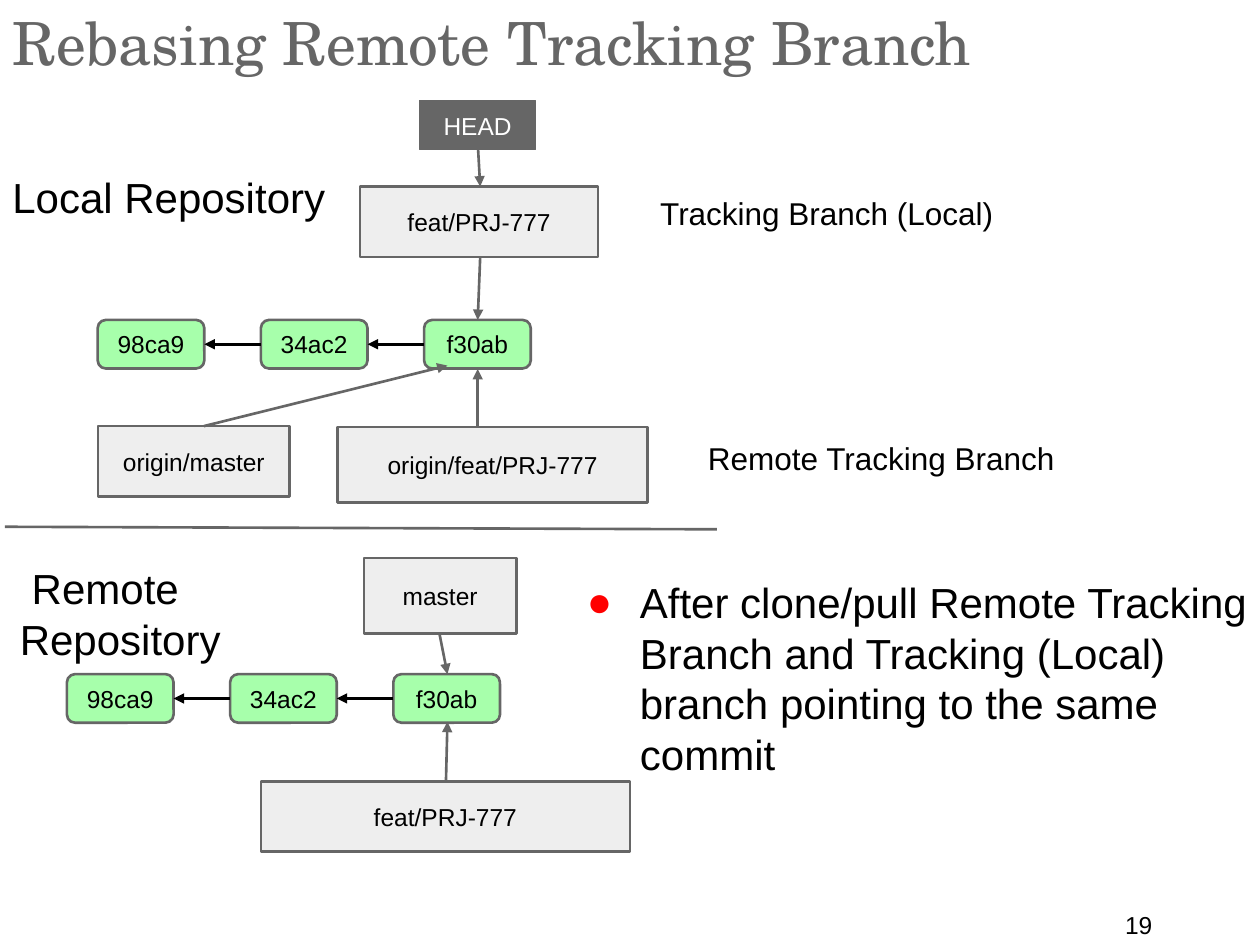
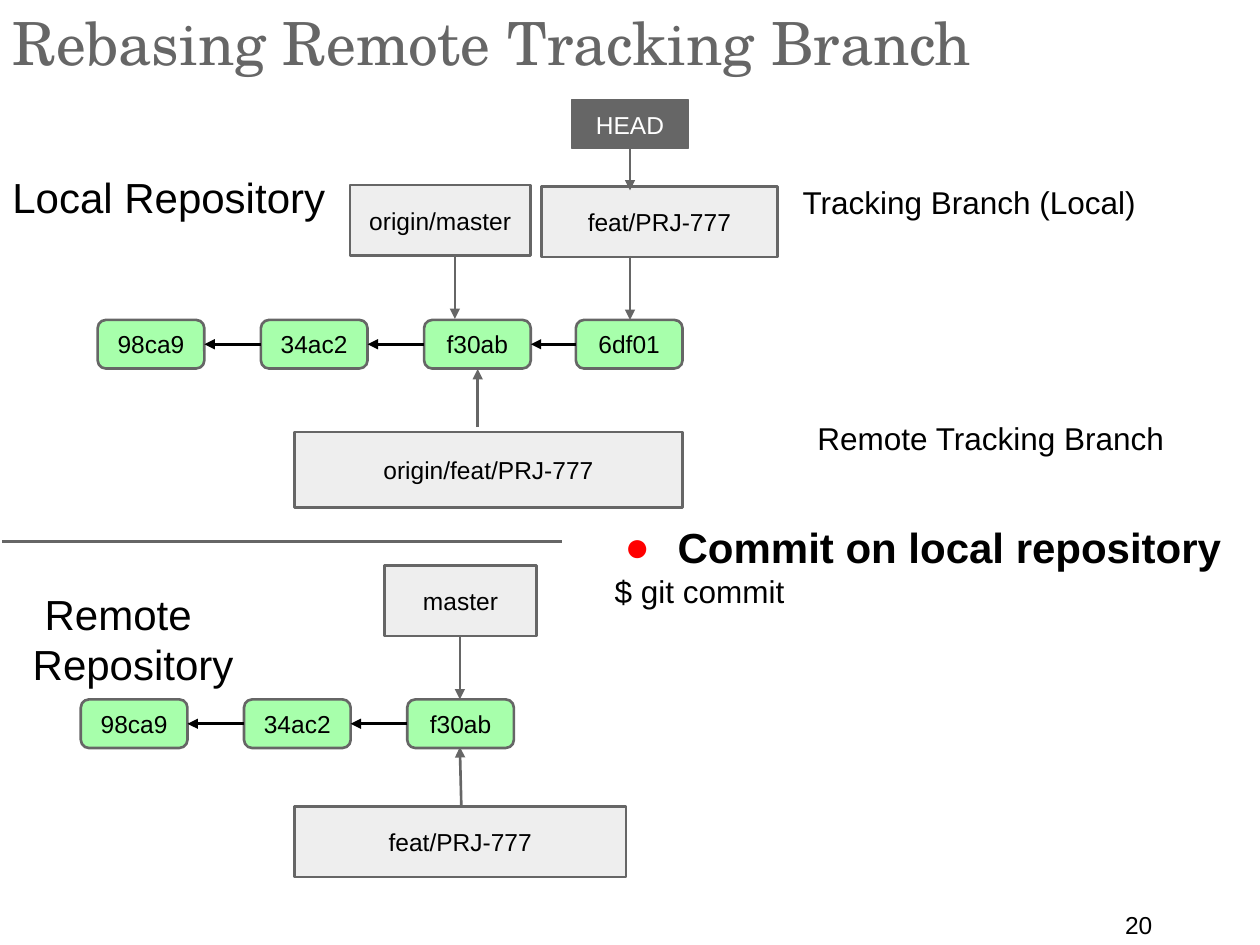
from lxml.etree import SubElement
from pptx import Presentation
from pptx.dml.color import RGBColor
from pptx.enum.shapes import MSO_CONNECTOR, MSO_SHAPE
from pptx.enum.text import MSO_ANCHOR, MSO_AUTO_SIZE, PP_ALIGN
from pptx.oxml.ns import qn
from pptx.util import Cm, Pt

COLORS = {"gray": "666666", "box": "EEEEEE", "commit": "A7FFAB",
          "black": "000000", "white": "FFFFFF", "bullet": "FF0000"}
TITLE = "Rebasing Remote Tracking Branch"
TITLE_FONT, BODY_FONT = "TeX Gyre Schola", "Arial"

# Commit nodes: size and distance from one to the next
NODE_W, NODE_H, NODE_STEP = 2.15, 0.98, 3.29
HEAD_W, HEAD_H = 2.34, 0.99

# Content; all lengths in centimetres
# rows: left, top, names, left of an extra commit; boxes: text, left, top, width, height
SLIDES = [
    {
        "number": "19",
        "rows": [(1.97, 6.45, ["98ca9", "34ac2", "f30ab"], None),
                 (1.35, 13.59, ["98ca9", "34ac2", "f30ab"], None)],
        "head": (8.46, 2.03),
        "boxes": [("feat/PRJ-777", 7.26, 3.76, 4.8, 1.42),
                  ("origin/master", 1.98, 8.59, 3.86, 1.42),
                  ("origin/feat/PRJ-777", 6.81, 8.61, 6.25, 1.52),
                  ("master", 7.34, 11.25, 3.07, 1.52),
                  ("feat/PRJ-777", 5.26, 15.75, 7.44, 1.42)],
        "pointers": [(9.63, 2.87, 9.68, 3.76), (9.68, 5.18, 9.63, 6.45),
                     (4.11, 8.59, 9.02, 7.37), (9.63, 8.61, 9.63, 7.44),
                     (8.86, 12.78, 9.02, 13.59), (8.99, 15.75, 9.02, 14.55)],
        "divider": (0.1, 10.62, 14.45, 10.67),
        "remote_label": (0.15, 11.1, 7.04, 1.52),
        "notes": [("Tracking Branch (Local)", 13.06, 3.66),
                  ("Remote Tracking Branch", 14.02, 8.61)],
        "body_at": (11.38, 11.38, 14.02, 4.67),
        "body": [("After clone/pull Remote Tracking Branch and Tracking (Local) "
                  "branch pointing to the same commit",
                  {"size": 24, "bullet": True})],
    },
    {
        "number": "20",
        "rows": [(1.97, 6.45, ["98ca9", "34ac2", "f30ab", "6df01"], 11.61),
                 (1.63, 14.1, ["98ca9", "34ac2", "f30ab"], None)],
        "head": (11.53, 2.01),
        "boxes": [("origin/master", 7.06, 3.73, 3.63, 1.42),
                  ("feat/PRJ-777", 10.92, 3.76, 4.75, 1.42),
                  ("origin/feat/PRJ-777", 5.94, 8.71, 7.82, 1.52),
                  ("master", 7.75, 11.4, 3.07, 1.42),
                  ("feat/PRJ-777", 5.94, 16.26, 6.68, 1.42)],
        "pointers": [(12.7, 2.84, 12.7, 3.84), (12.7, 5.16, 12.7, 6.45),
                     (9.17, 5.18, 9.17, 6.43), (9.63, 8.61, 9.63, 7.44),
                     (9.27, 12.83, 9.27, 14.1), (9.3, 16.26, 9.27, 15.06)],
        "divider": (0.05, 10.92, 11.33, 10.92),
        "remote_label": (0.41, 11.61, 7.21, 1.52),
        "notes": [("Tracking Branch (Local)", 15.93, 3.43),
                  ("Remote Tracking Branch", 16.23, 8.2)],
        "body_at": (12.14, 10.26, 13.26, 2.69),
        "body": [("Commit on local repository",
                  {"size": 24, "bold": True, "bullet": True}),
                 ("$ git commit", {"size": 18})],
    },
]


def rgb(name):
    return RGBColor.from_string(COLORS[name])


def put_text(p, text, size=14, color="black", font=BODY_FONT, bold=False,
             align=PP_ALIGN.LEFT, bullet=False, indent=0):
    """Write one formatted paragraph."""
    pPr = p._p.get_or_add_pPr()
    pPr.set("marL", str(Cm(1.27 if bullet else 0)))
    pPr.set("indent", str(Cm(-1.07 if bullet else indent)))
    if bullet:
        SubElement(SubElement(pPr, qn("a:buClr")), qn("a:srgbClr"), val=COLORS["bullet"])
        SubElement(pPr, qn("a:buChar"), char="●")
    else:
        SubElement(pPr, qn("a:buNone"))
    p.alignment, p.space_before = align, Pt(0)
    r = p.add_run()
    r.text = text
    r.font.name, r.font.size, r.font.bold = font, Pt(size), bold
    r.font.color.rgb = rgb(color)


def set_frame(sp, inset=0.25, anchor=MSO_ANCHOR.TOP):
    tf = sp.text_frame
    tf.word_wrap, tf.auto_size, tf.vertical_anchor = True, MSO_AUTO_SIZE.NONE, anchor
    tf.margin_left = tf.margin_right = Cm(0.25)
    tf.margin_top = tf.margin_bottom = Cm(inset)
    return tf


def move(sp, x, y, w, h):
    sp.left, sp.top, sp.width, sp.height = Cm(x), Cm(y), Cm(w), Cm(h)


def add_label(s, text, x, y, w, h, inset=0.25, **fmt):
    sp = s.shapes.add_textbox(Cm(x), Cm(y), Cm(w), Cm(h))
    put_text(set_frame(sp, inset).paragraphs[0], text, **fmt)


def add_box(s, text, x, y, w, h, kind=MSO_SHAPE.RECTANGLE, fill="box",
            line=1.5, color="black"):
    sp = s.shapes.add_shape(kind, Cm(x), Cm(y), Cm(w), Cm(h))
    sp.shadow.inherit = False
    sp.fill.solid()
    sp.fill.fore_color.rgb = rgb(fill)
    sp.line.color.rgb, sp.line.width = rgb("gray"), Pt(line)
    tf = set_frame(sp, anchor=MSO_ANCHOR.MIDDLE)
    put_text(tf.paragraphs[0], text, color=color, align=PP_ALIGN.CENTER)


def add_line(s, x1, y1, x2, y2, color="gray", arrow=True):
    c = s.shapes.add_connector(MSO_CONNECTOR.STRAIGHT, Cm(x1), Cm(y1), Cm(x2), Cm(y2))
    c.line.color.rgb, c.line.width = rgb(color), Pt(1.5)
    if arrow:
        SubElement(c.line._get_or_add_ln(), qn("a:tailEnd"), type="triangle")
    SubElement(c._element.spPr, qn("a:effectLst"))


def add_commits(s, x, y, names, extra_x):
    """Draw a row of commits, each pointing back to its parent."""
    lefts = [x + i * NODE_STEP for i in range(3)]
    if extra_x is not None:
        lefts.append(extra_x)
    for name, left in zip(names, lefts):
        add_box(s, name, left, y, NODE_W, NODE_H, MSO_SHAPE.ROUNDED_RECTANGLE, "commit")
    mid = y + NODE_H / 2
    for parent, child in zip(lefts, lefts[1:]):
        add_line(s, child, mid, parent + NODE_W, mid, "black")


def build_slide(prs, d):
    s = prs.slides.add_slide(prs.slide_layouts[1])

    # Title, page number and repository labels
    title, body = s.shapes.title, s.placeholders[1]
    move(title, 0, 0, 25.4, 1.52)
    put_text(set_frame(title, 0.13).paragraphs[0], TITLE, size=34, color="gray",
             font=TITLE_FONT)
    add_label(s, d["number"], 22.43, 18.21, 2.34, 0.64, inset=0.13)
    add_label(s, "Local Repository", 0, 3.2, 7.42, 1.52, size=24)
    add_label(s, "Remote Repository", *d["remote_label"], size=24, indent=0.24)

    # Commits, branches and HEAD
    for row in d["rows"]:
        add_commits(s, *row)
    for box in d["boxes"]:
        add_box(s, *box)
    add_box(s, "HEAD", *d["head"], HEAD_W, HEAD_H, fill="gray", line=0.75, color="white")
    for pointer in d["pointers"]:
        add_line(s, *pointer)
    add_line(s, *d["divider"], arrow=False)

    # Side notes and explanation
    for text, x, y in d["notes"]:
        add_label(s, text, x, y, 8.43, 1.96, size=18)
    move(body, *d["body_at"])
    tf = set_frame(body)
    for i, (text, fmt) in enumerate(d["body"]):
        put_text(tf.add_paragraph() if i else tf.paragraphs[0], text, **fmt)


def main():
    prs = Presentation()
    prs.slide_width, prs.slide_height = Cm(25.4), Cm(19.05)
    for d in SLIDES:
        build_slide(prs, d)
    prs.save("out.pptx")


if __name__ == "__main__":
    main()
